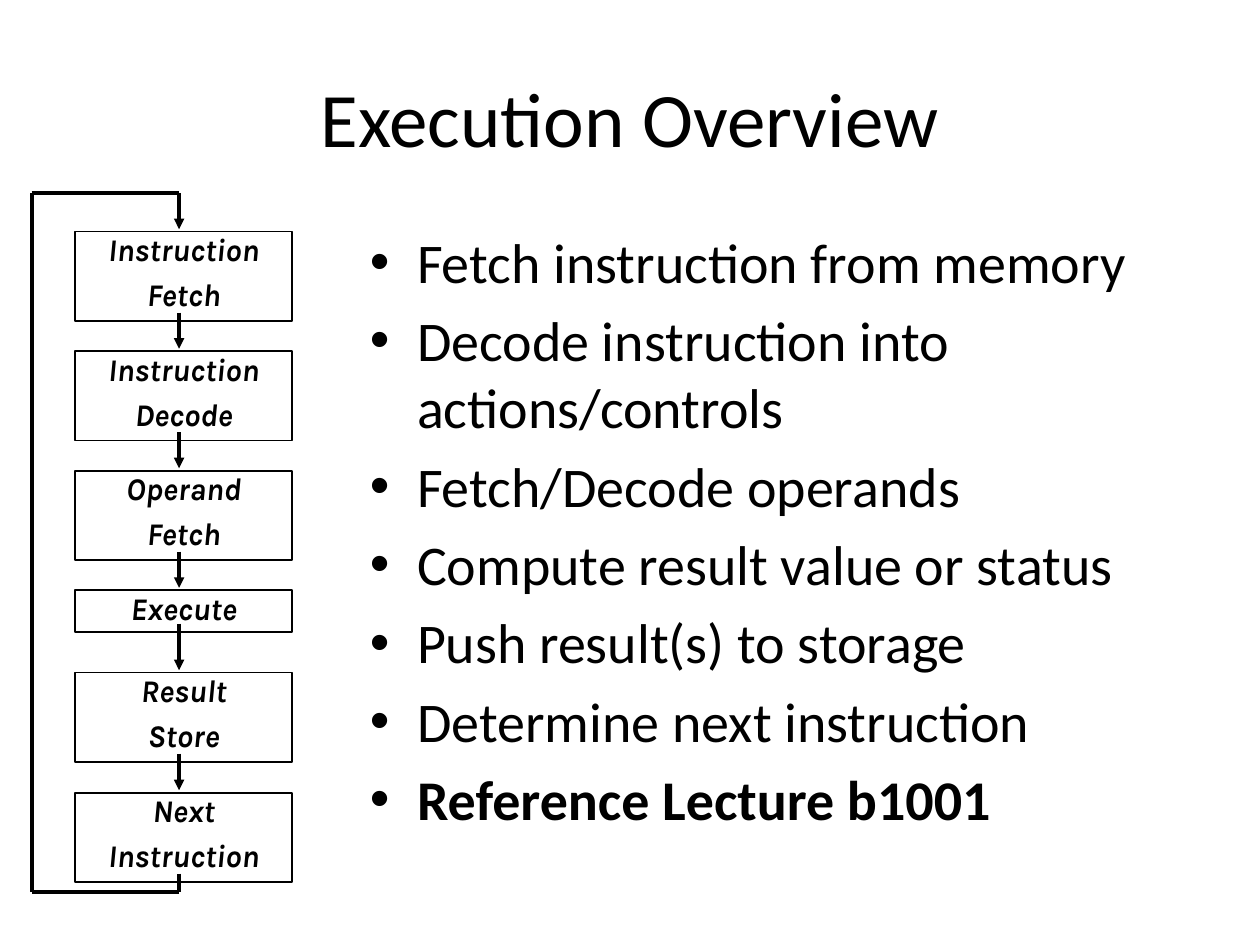
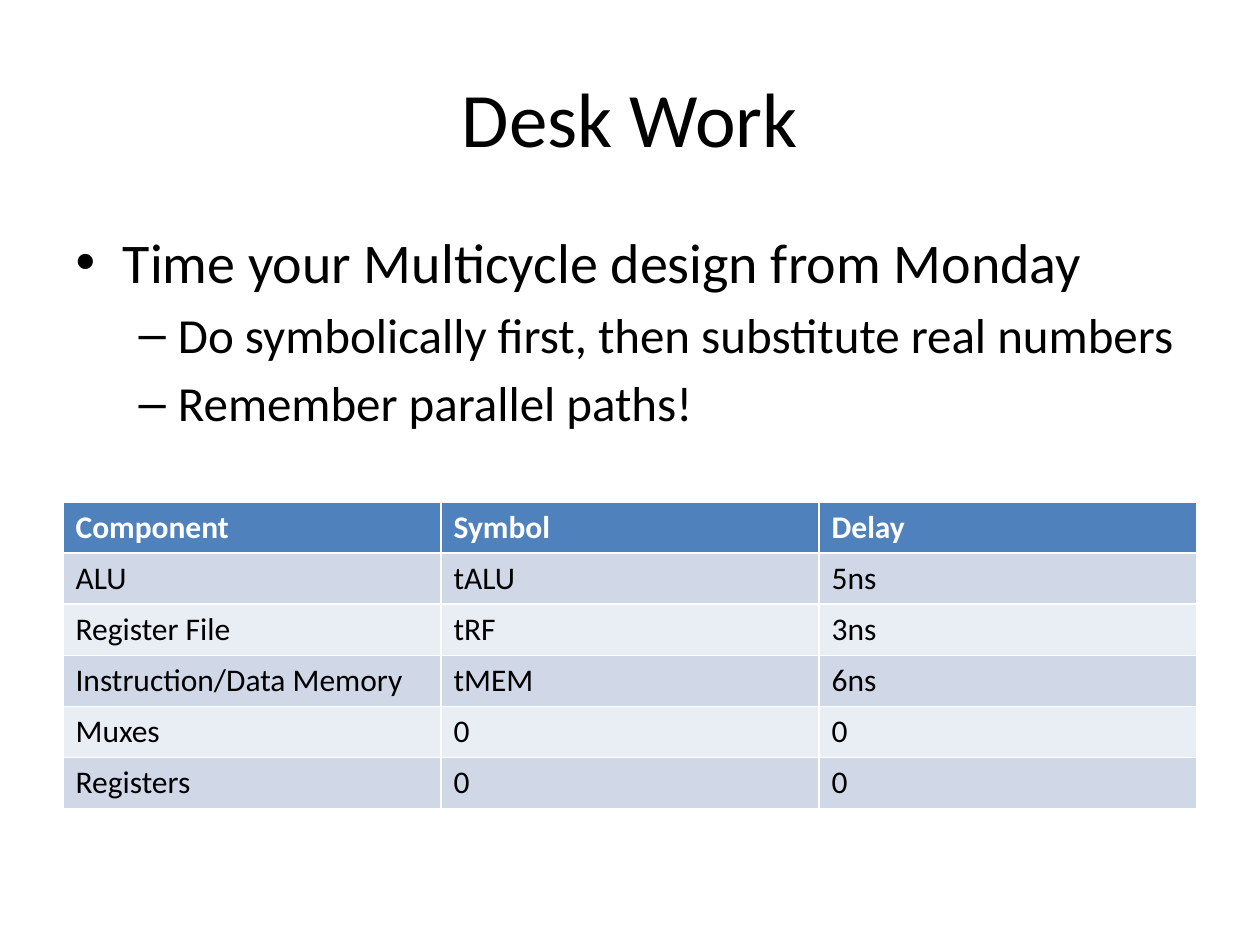
from dataclasses import dataclass

from lxml.etree import SubElement
from pptx import Presentation
from pptx.dml.color import RGBColor
from pptx.enum.shapes import MSO_CONNECTOR, MSO_SHAPE
from pptx.enum.text import MSO_ANCHOR, MSO_AUTO_SIZE, PP_ALIGN
from pptx.oxml.ns import qn
from pptx.util import Cm, Pt


@dataclass(frozen=True)
class Theme:
    ink: RGBColor = RGBColor(0x00, 0x00, 0x00)
    paper: RGBColor = RGBColor(0xFF, 0xFF, 0xFF)
    header: RGBColor = RGBColor(0x4F, 0x81, 0xBD)
    bands: tuple = (RGBColor(0xD0, 0xD8, 0xE8), RGBColor(0xE9, 0xED, 0xF4))
    font: str = "Calibri"
    box_font: str = "Karla"
    title: int = 44
    body: tuple = (32, 28)
    small: int = 18


theme = Theme()


def write(tf, text, size, font=theme.font, color=theme.ink, bold=False,
          italic=False, align=None, level=0, spacing=None, before=None):
    """Add one paragraph, filling the empty first one if it is free."""
    p = tf.paragraphs[0]
    if p.runs:
        p = tf.add_paragraph()
        if before is not None:
            p.space_before = Pt(before)
    p.level = level
    if align is not None:
        p.alignment = align
    if spacing is not None:
        p.line_spacing = spacing
    r = p.add_run()
    r.text = text
    r.font.name, r.font.size, r.font.color.rgb = font, Pt(size), color
    r.font.bold, r.font.italic = bold, italic


def draw_line(s, x1, y1, x2, y2, arrow=False):
    """Draw a flow line between two points given in centimetres."""
    c = s.shapes.add_connector(MSO_CONNECTOR.STRAIGHT, Cm(x1), Cm(y1), Cm(x2), Cm(y2))
    c.line.color.rgb, c.line.width = theme.ink, Pt(2)
    if arrow:
        SubElement(c.line._get_or_add_ln(), qn("a:tailEnd"), type="triangle")
    SubElement(c._element.spPr, qn("a:effectLst"))


prs = Presentation()
prs.slide_width, prs.slide_height = Cm(25.4), Cm(19.05)

# Titles and lists: title, body place (left, top, width, height), (text, level, bold)
pages = [
    ("Execution Overview", (7.2, 4.45, 16.93, 13.55), [
        ("Fetch instruction from memory", 0, False),
        ("Decode instruction into actions/controls", 0, False),
        ("Fetch/Decode operands", 0, False),
        ("Compute result value or status", 0, False),
        ("Push result(s) to storage", 0, False),
        ("Determine next instruction", 0, False),
        ("Reference Lecture b1001", 0, True)]),
    ("Desk Work", (1.27, 4.45, 22.86, 12.57), [
        ("Time your Multicycle design from Monday", 0, False),
        ("Do symbolically first, then substitute real numbers", 1, False),
        ("Remember parallel paths!", 1, False)]),
]
for title, place, items in pages:
    s = prs.slides.add_slide(prs.slide_layouts[1])
    sp = s.shapes.title
    sp.left, sp.top, sp.width, sp.height = Cm(1.27), Cm(0.76), Cm(22.86), Cm(3.18)
    write(sp.text_frame, title, theme.title, align=PP_ALIGN.CENTER)
    sp = s.placeholders[1]
    sp.left, sp.top, sp.width, sp.height = [Cm(v) for v in place]
    sp.text_frame.auto_size = MSO_AUTO_SIZE.NONE
    for text, level, bold in items:
        write(sp.text_frame, text, theme.body[level], level=level, bold=bold)

flow_slide, table_slide = prs.slides

# Execution cycle: stacked boxes, each with the gap that follows it
stages = [
    (["Instruction", "Fetch"], 0.61),
    (["Instruction", "Decode"], 0.61),
    (["Operand", "Fetch"], 0.61),
    (["Execute"], 0.82),
    (["Result", "Store"], 0.62),
    (["Next", "Instruction"], 0),
]
box_left, box_width, first_top = 1.52, 4.37, 4.67
box_heights = {1: 0.84, 2: 1.8}
overlap, clearance = 0.17, 0.05
top = first_top
spans = []
for words, gap in stages:
    height = box_heights[len(words)]
    sp = flow_slide.shapes.add_shape(MSO_SHAPE.RECTANGLE, Cm(box_left), Cm(top),
                                     Cm(box_width), Cm(height))
    sp.shadow.inherit = False
    sp.fill.background()
    sp.line.color.rgb, sp.line.width = theme.ink, Pt(1)
    tf = sp.text_frame
    tf.word_wrap, tf.vertical_anchor = True, MSO_ANCHOR.TOP
    tf.margin_left = tf.margin_right = Cm(0.18)
    tf.margin_top = tf.margin_bottom = Cm(0.08)
    for word in words:
        write(tf, word, theme.small, font=theme.box_font, bold=True, italic=True,
              align=PP_ALIGN.CENTER, spacing=0.86, before=7.2)
    spans.append((top, top + height))
    top += height + gap

# Arrows from each box to the next
axis = 3.61
for (_, bottom), (next_top, _) in zip(spans, spans[1:]):
    draw_line(flow_slide, axis, bottom - overlap, axis, next_top - clearance, arrow=True)

# Return path from the last box to the first
loop_left, loop_top, loop_bottom = 0.64, 3.89, 17.98
corners = [(axis, spans[-1][1] - overlap), (axis, loop_bottom), (loop_left, loop_bottom),
           (loop_left, loop_top), (axis, loop_top), (axis, first_top - clearance)]
for i, (start, end) in enumerate(zip(corners, corners[1:])):
    draw_line(flow_slide, *start, *end, arrow=i == len(corners) - 2)

# Delay table
rows = [
    ("Component", "Symbol", "Delay"),
    ("ALU", "tALU", "5ns"),
    ("Register File", "tRF", "3ns"),
    ("Instruction/Data Memory", "tMEM", "6ns"),
    ("Muxes", "0", "0"),
    ("Registers", "0", "0"),
]
table = table_slide.shapes.add_table(len(rows), 3, Cm(1.27), Cm(10.12),
                                     Cm(22.86), Cm(6.18)).table
for i, row in enumerate(rows):
    is_header = i == 0
    for j, text in enumerate(row):
        cell = table.cell(i, j)
        cell.fill.solid()
        cell.fill.fore_color.rgb = theme.header if is_header else theme.bands[(i - 1) % 2]
        write(cell.text_frame, text, theme.small, bold=is_header,
              color=theme.paper if is_header else theme.ink)

prs.save("out.pptx")
